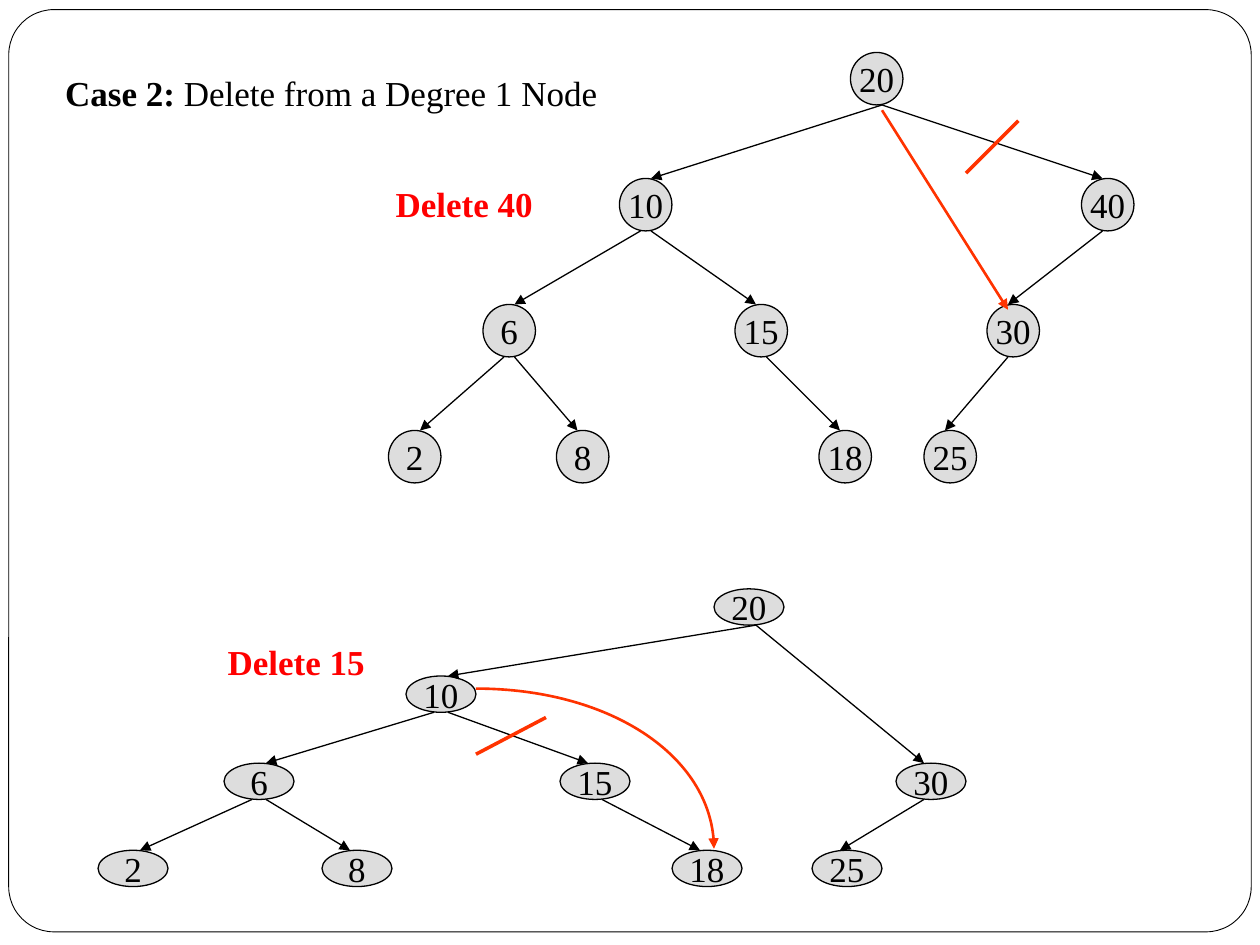
from dataclasses import dataclass

from lxml import etree
from pptx import Presentation
from pptx.dml.color import RGBColor
from pptx.enum.shapes import MSO_CONNECTOR, MSO_SHAPE
from pptx.enum.text import MSO_ANCHOR, MSO_AUTO_SIZE, PP_ALIGN
from pptx.oxml.ns import qn
from pptx.util import Pt

STRAIGHT = MSO_CONNECTOR.STRAIGHT
ELLIPSE = MSO_SHAPE.OVAL
ROUNDED = MSO_SHAPE.ROUNDED_RECTANGLE
LEFT, CENTER = PP_ALIGN.LEFT, PP_ALIGN.CENTER
TOP, MIDDLE, BOTTOM = MSO_ANCHOR.TOP, MSO_ANCHOR.MIDDLE, MSO_ANCHOR.BOTTOM
FIT_SHAPE, NO_FIT = MSO_AUTO_SIZE.SHAPE_TO_FIT_TEXT, MSO_AUTO_SIZE.NONE

NODE_SIZE = 5
ROW_STEP = 12
EDGE_SHIFT = 0.5
ROOT = "20"
# Each node: column and row in grid units, and the side of its centre an arrow meets.
NODES = {
    "20": (0, 0, 1),
    "40": (22, 1, -1),
    "10": (-22, 1, 1),
    "6": (-35, 2, 1),
    "15": (-11, 2, -1),
    "30": (13, 2, -1),
    "2": (-44, 3, 1),
    "8": (-28, 3, -1),
    "18": (-3, 3, -1),
    "25": (7, 3, -1),
}
PARENTS = {"10": "20", "40": "20", "6": "10", "15": "10", "30": "40",
           "2": "6", "8": "6", "18": "15", "25": "30"}
PARENTS_WITHOUT_40 = {child: parent for child, parent in PARENTS.items()
                      if child != "40"} | {"30": "20"}


@dataclass(frozen=True)
class Theme:
    font: str = "Times New Roman"
    size: int = 20
    ink: RGBColor = RGBColor(0x00, 0x00, 0x00)
    node: RGBColor = RGBColor(0xDD, 0xDD, 0xDD)
    change: RGBColor = RGBColor(0xFF, 0x33, 0x00)
    label: RGBColor = RGBColor(0xFF, 0x00, 0x00)


def write_text(frame, runs, theme, color=None, align=LEFT, anchor=TOP,
               wrap=False, fit=NO_FIT, bottom=3.6):
    frame.word_wrap = wrap
    frame.auto_size = fit
    frame.vertical_anchor = anchor
    frame.margin_left = frame.margin_right = Pt(7.2)
    frame.margin_top, frame.margin_bottom = Pt(3.6), Pt(bottom)
    paragraph = frame.paragraphs[0]
    paragraph.alignment = align
    for text, bold in runs:
        run = paragraph.add_run()
        run.text = text
        run.font.name = theme.font
        run.font.size = Pt(theme.size)
        run.font.bold = bold
        run.font.color.rgb = color or theme.ink


class SlideBuilder:
    def __init__(self, slide, theme):
        self.slide = slide
        self.theme = theme

    def set_line(self, shape, color, width, arrow=False):
        shape.line.color.rgb = color
        shape.line.width = Pt(width)
        if arrow:
            line = shape.line._get_or_add_ln()
            etree.SubElement(line, qn("a:tailEnd"), type="triangle")

    def frame(self, left, top, width, height):
        shape = self.slide.shapes.add_shape(
            ROUNDED, Pt(left), Pt(top), Pt(width), Pt(height))
        shape.adjustments[0] = 0.049
        shape.shadow.inherit = False
        shape.fill.background()
        self.set_line(shape, self.theme.ink, 0.5)

    def title(self, left, top, width, height, runs):
        title = self.slide.shapes.title
        title.left, title.top = Pt(left), Pt(top)
        title.width, title.height = Pt(width), Pt(height)
        write_text(title.text_frame, runs, self.theme,
                   anchor=BOTTOM, wrap=True, bottom=7.2)

    def label(self, left, top, text):
        box = self.slide.shapes.add_textbox(Pt(left), Pt(top), Pt(93), Pt(31.5))
        write_text(box.text_frame, [(text, True)], self.theme,
                   color=self.theme.label, fit=FIT_SHAPE)

    def node(self, shapes, left, top, width, height, text):
        shape = shapes.add_shape(ELLIPSE, Pt(left), Pt(top), Pt(width), Pt(height))
        shape.shadow.inherit = False
        shape.fill.solid()
        shape.fill.fore_color.rgb = self.theme.node
        self.set_line(shape, self.theme.ink, 0.75)
        write_text(shape.text_frame, [(text, False)], self.theme,
                   align=CENTER, anchor=MIDDLE)

    def connector(self, start, end, color, width, arrow=False, shapes=None):
        shapes = shapes or self.slide.shapes
        connector = shapes.add_connector(
            STRAIGHT, *(Pt(value) for value in (*start, *end)))
        self.set_line(connector, color, width, arrow)
        etree.SubElement(connector._element.spPr, qn("a:effectLst"))

    def curve(self, start, *controls_and_end):
        builder = self.slide.shapes.build_freeform(Pt(start[0]), Pt(start[1]))
        builder.add_line_segments(
            [(Pt(x), Pt(y)) for x, y in controls_and_end], close=False)
        shape = builder.convert_to_shape()
        outline = next(shape._element.iter(qn("a:path")))
        bezier = etree.SubElement(outline, qn("a:cubicBezTo"))
        for segment in outline.findall(qn("a:lnTo")):
            bezier.append(segment[0])
            outline.remove(segment)
        shape.shadow.inherit = False
        shape.fill.background()
        self.set_line(shape, self.theme.change, 1.5, arrow=True)

    def tree(self, root_left, root_top, unit_x, unit_y, parents):
        shapes = self.slide.shapes.add_group_shape().shapes

        def position(column, row):
            return root_left + column * unit_x, root_top + row * unit_y

        for name in [ROOT, *parents]:
            column, row, _ = NODES[name]
            self.node(shapes, *position(column, row * ROW_STEP),
                      NODE_SIZE * unit_x, NODE_SIZE * unit_y, name)
        for child, parent in parents.items():
            child_column, child_row, child_side = NODES[child]
            parent_column, parent_row, _ = NODES[parent]
            toward_child = 1 if child_column > parent_column else -1
            parent_side = 1 if parent == ROOT else toward_child
            center = NODE_SIZE / 2
            start = position(parent_column + center + parent_side * EDGE_SHIFT,
                             parent_row * ROW_STEP + NODE_SIZE)
            end = position(child_column + center + child_side * EDGE_SHIFT,
                           child_row * ROW_STEP)
            self.connector(start, end, self.theme.ink, 0.75, True, shapes)


def main():
    presentation = Presentation()
    presentation.slide_width, presentation.slide_height = Pt(720), Pt(540)
    slide = presentation.slides.add_slide(presentation.slide_layouts[5])
    theme = Theme()
    builder = SlideBuilder(slide, theme)

    builder.frame(5, 5.5, 710, 527)
    builder.title(30, 40.5, 324, 31.5,
                  [("Case 2: ", True), ("Delete from a Degree 1 Node", False)])

    builder.tree(486, 30, 6, 6, PARENTS)
    builder.connector((552, 99), (582, 69), theme.change, 2)
    builder.connector((504, 63), (576, 177), theme.change, 1.5, arrow=True)

    builder.tree(408, 336.5, 8, 4.15, PARENTS_WITHOUT_40)
    builder.connector((272, 431), (312, 410), theme.change, 2)
    builder.curve((272, 393.5), (347, 393.5), (408, 433), (408, 485))

    builder.label(219, 101, "Delete 40")
    builder.label(123, 362.5, "Delete 15")
    presentation.save("out.pptx")


if __name__ == "__main__":
    main()
